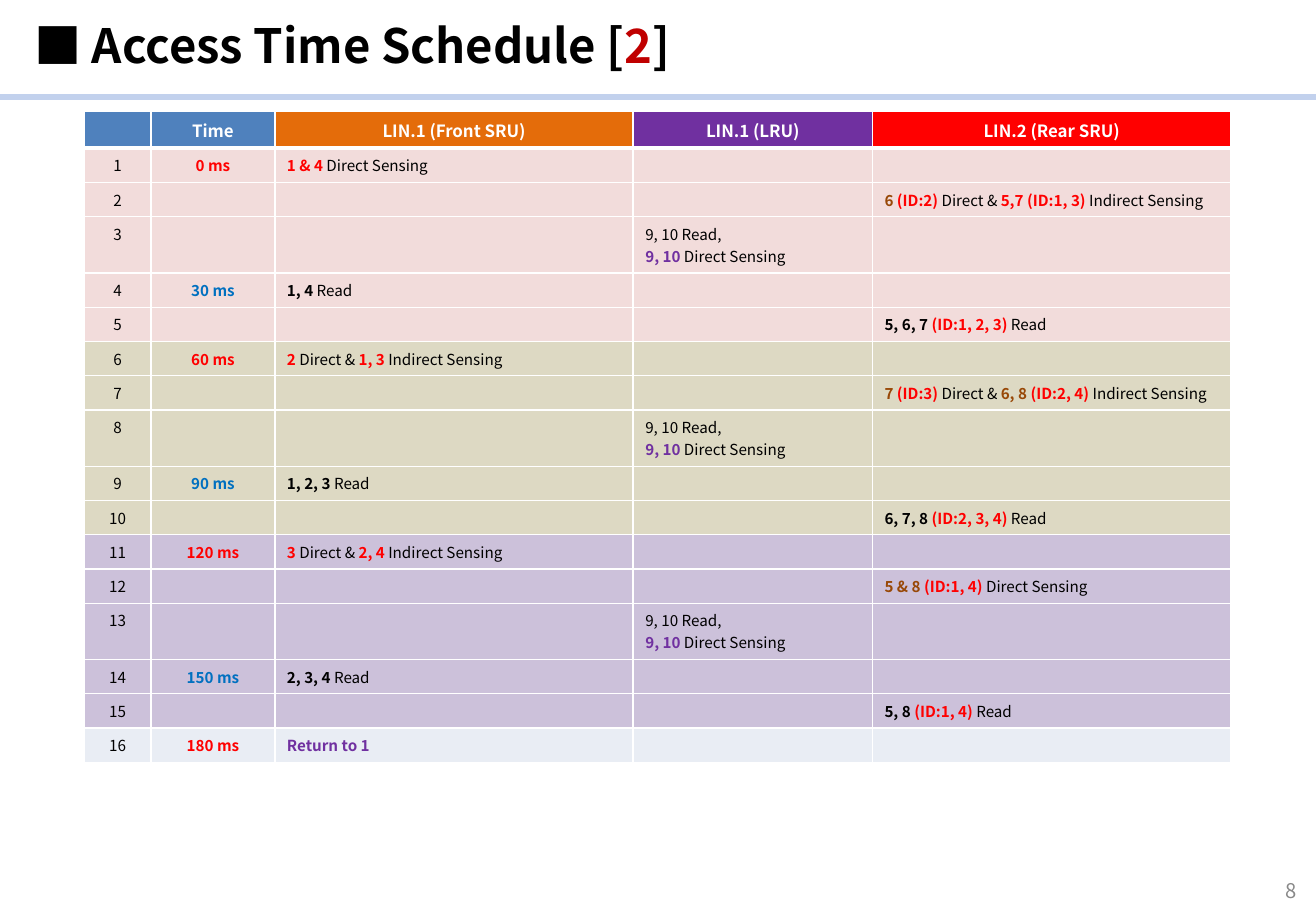
from dataclasses import dataclass
from typing import NamedTuple

from lxml.etree import SubElement
from pptx import Presentation
from pptx.dml.color import RGBColor
from pptx.enum.shapes import MSO_CONNECTOR
from pptx.enum.text import MSO_ANCHOR, MSO_AUTO_SIZE, PP_ALIGN
from pptx.oxml.ns import qn
from pptx.util import Pt

FONT = "Noto Sans CJK KR"
BLACK, WHITE, RED, BLUE = "000000", "FFFFFF", "FF0000", "0070C0"
BROWN, VIOLET, STEEL = "984807", "7030A0", "4F81BD"
FRONT, LRU, REAR = 2, 3, 4
WIDTHS = (39.6, 73.4, 212.4, 141.8, 212.4)
HEADS = (("", STEEL), ("Time", STEEL), ("LIN.1 (Front SRU)", "E46C0A"),
         ("LIN.1 (LRU)", VIOLET), ("LIN.2 (Rear SRU)", RED))


class Bit(NamedTuple):
    """A piece of text, bold when it names a colour."""
    text: str
    hue: str = ""


Line = list[Bit]


@dataclass
class Phase:
    """One 60 ms block of sensing and reading steps."""
    fill: str
    front: Line
    rear: Line
    front_read: str
    rear_read: str
    rear_ids: str


@dataclass
class Step:
    """One table row below the header."""
    fill: str
    column: int
    lines: list[Line]
    time: Bit = Bit("")


DIRECT, SENSING = Bit("Direct & "), Bit("Direct Sensing")
INDIRECT, READ = Bit("Indirect Sensing"), Bit("Read")
PHASES = (
    Phase("F2DCDB", [Bit("1 & 4 ", RED), SENSING],
          [Bit("6 ", BROWN), Bit("(ID:2) ", RED), DIRECT, Bit("5,7 (ID:1, 3) ", RED), INDIRECT],
          "1, 4 ", "5, 6, 7 ", "(ID:1, 2, 3) "),
    Phase("DDD9C3", [Bit("2 ", RED), DIRECT, Bit("1, 3 ", RED), INDIRECT],
          [Bit("7", BROWN), Bit(" (ID:3) ", RED), DIRECT, Bit("6, 8 ", BROWN),
           Bit("(ID:2, 4) ", RED), INDIRECT],
          "1, 2, 3 ", "6, 7, 8 ", "(ID:2, 3, 4) "),
    Phase("CCC1DA", [Bit("3 ", RED), DIRECT, Bit("2, 4 ", RED), INDIRECT],
          [Bit("5 & 8", BROWN), Bit(" (ID:1, 4) ", RED), SENSING],
          "2, 3, 4 ", "5, 8 ", "(ID:1, 4) "),
)


def paint(target, color: str) -> None:
    """Give a fill, line or font colour its hex value."""
    target.rgb = RGBColor.from_string(color)


def style(run, size: float, color: str, bold: bool) -> None:
    """Set the font of one run."""
    font = run.font
    font.name, font.size, font.bold = FONT, Pt(size), bold
    paint(font.color, color)
    SubElement(font._element, qn("a:ea"), typeface=FONT)


def write(frame, lines: list[Line], size: float, align=PP_ALIGN.LEFT) -> None:
    """Write lines of coloured bits into a text frame."""
    frame.text = "\n".join("" for _ in lines)
    for para, line in zip(frame.paragraphs, lines):
        para.alignment = align
        for bit in line:
            run = para.add_run()
            run.text = bit.text
            style(run, size, bit.hue or BLACK, bool(bit.hue))
        if not line:
            end = SubElement(para._p, qn("a:endParaRPr"), sz=str(int(size * 100)))
            SubElement(end, qn("a:latin"), typeface=FONT)


def edge(cell, low: float) -> None:
    """Draw white cell borders with the given bottom width."""
    props = cell._tc.get_or_add_tcPr()
    for side, width in (("L", 1), ("R", 1), ("T", 1), ("B", low)):
        line = SubElement(props, qn(f"a:ln{side}"), w=str(Pt(width)))
        fill = SubElement(line, qn("a:solidFill"))
        SubElement(fill, qn("a:srgbClr"), val=WHITE)


def fill_cell(cell, lines: list[Line], fill: str, size: float, align, low: float = 1) -> None:
    """Write and colour one table cell."""
    write(cell.text_frame, lines, size, align)
    edge(cell, low)
    cell.fill.solid()
    paint(cell.fill.fore_color, fill)


def plan() -> list[Step]:
    """Lay out the steps of all phases in order."""
    steps = []
    for i, part in enumerate(PHASES):
        start = 60 * i
        poll = [[Bit("9, 10 Read,")], [Bit("9, 10 ", VIOLET), SENSING]]
        steps += [
            Step(part.fill, FRONT, [part.front], Bit(f"{start} ms", RED)),
            Step(part.fill, REAR, [part.rear]),
            Step(part.fill, LRU, poll),
            Step(part.fill, FRONT, [[Bit(part.front_read, BLACK), READ]],
                 Bit(f"{start + 30} ms", BLUE)),
            Step(part.fill, REAR,
                 [[Bit(part.rear_read, BLACK), Bit(part.rear_ids, RED), READ]]),
        ]
    last = Step("E9EDF4", FRONT, [[Bit("Return to 1", VIOLET)]], Bit("180 ms", RED))
    return steps + [last]


def draw_table(slide, steps: list[Step]) -> None:
    """Draw the schedule table."""
    frame = slide.shapes.add_table(len(steps) + 1, len(WIDTHS), Pt(49.9), Pt(66.2),
                                   Pt(sum(WIDTHS)), Pt(385))
    table = frame.table
    table.horz_banding = False
    for column, width in zip(table.columns, WIDTHS):
        column.width = Pt(width)
    table.rows[0].height = Pt(21.7)
    for i, (text, fill) in enumerate(HEADS):
        line = [Bit(text, WHITE)] if text else []
        fill_cell(table.cell(0, i), [line], fill, 10, PP_ALIGN.CENTER, 3)
    for num, step in enumerate(steps, 1):
        table.rows[num].height = Pt(7.2 + 13.05 * len(step.lines))
        texts = {0: [[Bit(str(num))]], step.column: step.lines}
        if step.time.text:
            texts[1] = [[step.time]]
        for i in range(len(WIDTHS)):
            align = PP_ALIGN.CENTER if i < FRONT else PP_ALIGN.LEFT
            fill_cell(table.cell(num, i), texts.get(i, [[]]), step.fill, 9, align)


def place(shape, left: float, top: float, width: float, height: float) -> None:
    """Move and size a shape."""
    shape.left, shape.top = Pt(left), Pt(top)
    shape.width, shape.height = Pt(width), Pt(height)


def draw_title(slide) -> None:
    """Format the title placeholder."""
    title = slide.shapes.title
    place(title, 13, 5.8, 394, 41)
    frame = title.text_frame
    write(frame, [[Bit("■ Access Time Schedule [", BLACK), Bit("2", "C00000"),
                   Bit("]", BLACK)]], 28)
    frame.word_wrap = False
    frame.auto_size = MSO_AUTO_SIZE.NONE
    frame.vertical_anchor = MSO_ANCHOR.TOP


def draw_rule(slide, width: int) -> None:
    """Draw the line below the title."""
    rule = slide.shapes.add_connector(MSO_CONNECTOR.STRAIGHT, 0, Pt(57.6), width, Pt(57.6))
    rule.line.width = Pt(3.75)
    paint(rule.line.color, "C2D1ED")
    SubElement(rule._element.spPr, qn("a:effectLst"))


def draw_page(slide) -> None:
    """Write the page number."""
    box = slide.shapes.add_textbox(Pt(578), Pt(513.4), Pt(197.5), Pt(28.8))
    frame = box.text_frame
    frame.word_wrap = True
    frame.vertical_anchor = MSO_ANCHOR.MIDDLE
    write(frame, [[Bit("8", "898989")]], 12, PP_ALIGN.RIGHT)
    frame.paragraphs[0].runs[0].font.bold = False


def main() -> None:
    """Build and save the slide."""
    deck = Presentation()
    deck.slide_width, deck.slide_height = Pt(780), Pt(540)
    slide = deck.slides.add_slide(deck.slide_layouts[5])
    draw_table(slide, plan())
    draw_rule(slide, deck.slide_width)
    draw_title(slide)
    draw_page(slide)
    deck.save("out.pptx")


main()
